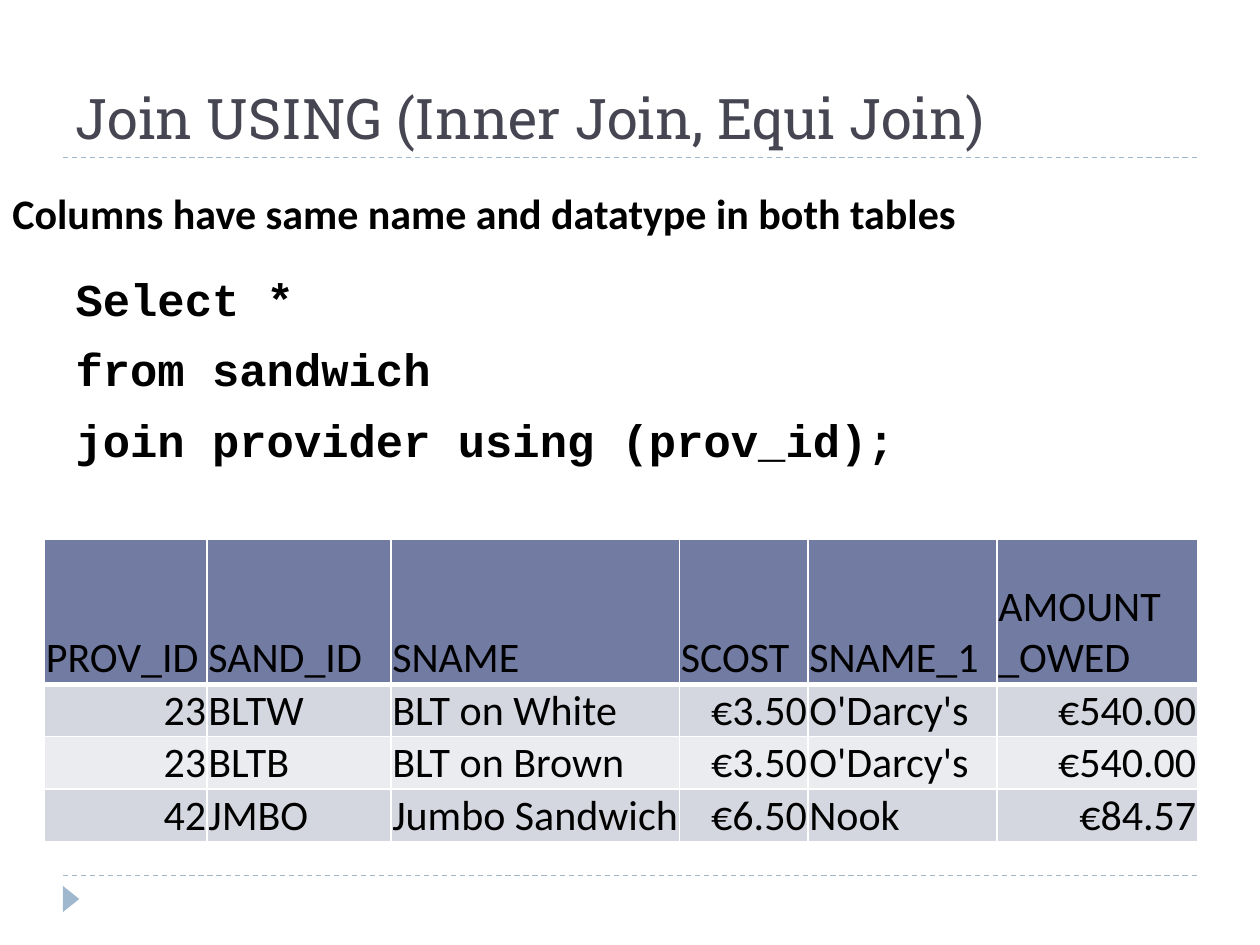
from lxml import etree
from pptx import Presentation
from pptx.dml.color import RGBColor
from pptx.enum.dml import MSO_LINE
from pptx.enum.shapes import MSO_CONNECTOR, MSO_SHAPE
from pptx.enum.text import MSO_ANCHOR, MSO_AUTO_SIZE, PP_ALIGN
from pptx.oxml.ns import qn
from pptx.util import Pt

BLACK = RGBColor(0x00, 0x00, 0x00)
WHITE = RGBColor(0xFF, 0xFF, 0xFF)
SLATE = RGBColor(0x46, 0x46, 0x53)
PALE_BLUE = RGBColor(0x9F, 0xB8, 0xCD)
HEADER_FILL = RGBColor(0x72, 0x7C, 0xA3)
BAND_FILLS = [RGBColor(0xD5, 0xD7, 0xE0), RGBColor(0xEB, 0xEC, 0xF0)]

TITLE = "Join USING (Inner Join, Equi Join)"
NOTE = "Columns have same name and datatype in both tables"
QUERY = ["Select *", "from sandwich", "join provider using (prov_id);"]
HEADERS = ["PROV_ID", "SAND_ID", "SNAME", "SCOST", "SNAME_1", "AMOUNT\v_OWED"]
ROWS = [
    ["23", "BLTW", "BLT on White", "€3.50", "O'Darcy's", "€540.00"],
    ["23", "BLTB", "BLT on Brown", "€3.50", "O'Darcy's", "€540.00"],
    ["42", "JMBO", "Jumbo Sandwich", "€6.50", "Nook", "€84.57"],
]
NUMERIC_COLUMNS = {0, 3, 5}
COLUMN_WIDTHS = [92.9, 105.1, 164.9, 73.4, 108, 114.5]
ROW_HEIGHTS = [82.8, 29.5, 29.5, 29.5]

TITLE_FONT = {"name": "Roboto Slab", "size": Pt(32), "bold": False}
QUERY_FONT = {"name": "Courier New", "size": Pt(26), "bold": True}
NOTE_FONT = {"name": "Calibri", "size": Pt(24), "bold": True}
CELL_FONT = {"name": "Calibri", "size": Pt(24), "bold": False}
CELL_FORMAT = {
    "margin_left": Pt(0.7), "margin_right": Pt(0.7), "margin_top": Pt(0.7),
    "margin_bottom": Pt(0), "vertical_anchor": MSO_ANCHOR.BOTTOM,
}


def set_all(target, values):
    for name, value in values.items():
        setattr(target, name, value)


def place(shape, left, top, width, height):
    set_all(shape, {"left": Pt(left), "top": Pt(top),
                    "width": Pt(width), "height": Pt(height)})


def write(para, text, font, color, align=PP_ALIGN.LEFT):
    para.text = text
    para.alignment = align
    for span in para.runs:
        set_all(span.font, font)
        span.font.color.rgb = color


def add_rule(slide, top):
    rule = slide.shapes.add_connector(
        MSO_CONNECTOR.STRAIGHT, Pt(36), Pt(top), Pt(684), Pt(top))
    rule.line.color.rgb = PALE_BLUE
    rule.line.width = Pt(0.75)
    rule.line.dash_style = MSO_LINE.DASH
    etree.SubElement(rule.element.spPr, qn("a:effectLst"))


def add_borders(cell, widths):
    """Draw white borders; widths maps L, R, T, B to points, in that order."""
    properties = cell._tc.get_or_add_tcPr()
    for side, width in widths.items():
        line = etree.SubElement(properties, qn(f"a:ln{side}"), w=str(Pt(width)))
        fill = etree.SubElement(line, qn("a:solidFill"))
        etree.SubElement(fill, qn("a:srgbClr"), val=str(WHITE))


def add_title(slide):
    title = slide.shapes.title
    place(title, 36, 18, 648, 72)
    set_all(title.text_frame, {"vertical_anchor": MSO_ANCHOR.BOTTOM,
                               "auto_size": MSO_AUTO_SIZE.NONE})
    write(title.text_frame.paragraphs[0], TITLE, TITLE_FONT, SLATE)


def add_query(slide):
    body = slide.placeholders[1]
    place(body, 36, 151.2, 653, 45.4)
    frame = body.text_frame
    set_all(frame, {"vertical_anchor": MSO_ANCHOR.TOP,
                    "auto_size": MSO_AUTO_SIZE.NONE})
    for index, text in enumerate(QUERY):
        para = frame.add_paragraph() if index else frame.paragraphs[0]
        write(para, text, QUERY_FONT, BLACK)
        set_all(para, {"space_before": Pt(6), "space_after": Pt(3)})
        properties = para._p.get_or_add_pPr()
        properties.set("marL", str(Pt(21.6)))
        properties.set("indent", str(Pt(-21.6)))
        etree.SubElement(properties, qn("a:buNone"))


def add_result_table(slide):
    table = slide.shapes.add_table(
        len(ROWS) + 1, len(HEADERS), Pt(25.5), Pt(308.2),
        Pt(sum(COLUMN_WIDTHS)), Pt(sum(ROW_HEIGHTS))).table
    for column, width in zip(table.columns, COLUMN_WIDTHS):
        column.width = Pt(width)
    for row, height in zip(table.rows, ROW_HEIGHTS):
        row.height = Pt(height)
    for r, texts in enumerate([HEADERS] + ROWS):
        fill = BAND_FILLS[(r - 1) % 2] if r else HEADER_FILL
        borders = {"L": 1, "R": 1, "T": 3 if r == 1 else 1, "B": 1 if r else 3}
        for c, text in enumerate(texts):
            cell = table.cell(r, c)
            set_all(cell, CELL_FORMAT)
            align = PP_ALIGN.RIGHT if r and c in NUMERIC_COLUMNS else PP_ALIGN.LEFT
            write(cell.text_frame.paragraphs[0], text, CELL_FONT, BLACK, align)
            add_borders(cell, borders)
            cell.fill.solid()
            cell.fill.fore_color.rgb = fill


def add_note(slide):
    box = slide.shapes.add_textbox(Pt(0), Pt(103.7), Pt(711.4), Pt(36))
    box.text_frame.word_wrap = True
    write(box.text_frame.paragraphs[0], NOTE, NOTE_FONT, BLACK)


def add_marker(slide):
    marker = slide.shapes.add_shape(
        MSO_SHAPE.ISOSCELES_TRIANGLE, Pt(33.1), Pt(509), Pt(15), Pt(9.4))
    marker.rotation = 90
    marker.shadow.inherit = False
    marker.fill.solid()
    marker.fill.fore_color.rgb = PALE_BLUE
    marker.line.fill.background()


def main():
    deck = Presentation()
    deck.slide_width, deck.slide_height = Pt(720), Pt(540)
    slide = deck.slides.add_slide(deck.slide_layouts[1])
    for top in (500.4, 90):
        add_rule(slide, top)
    add_marker(slide)
    add_title(slide)
    add_query(slide)
    add_result_table(slide)
    add_note(slide)
    deck.save("out.pptx")


if __name__ == "__main__":
    main()
